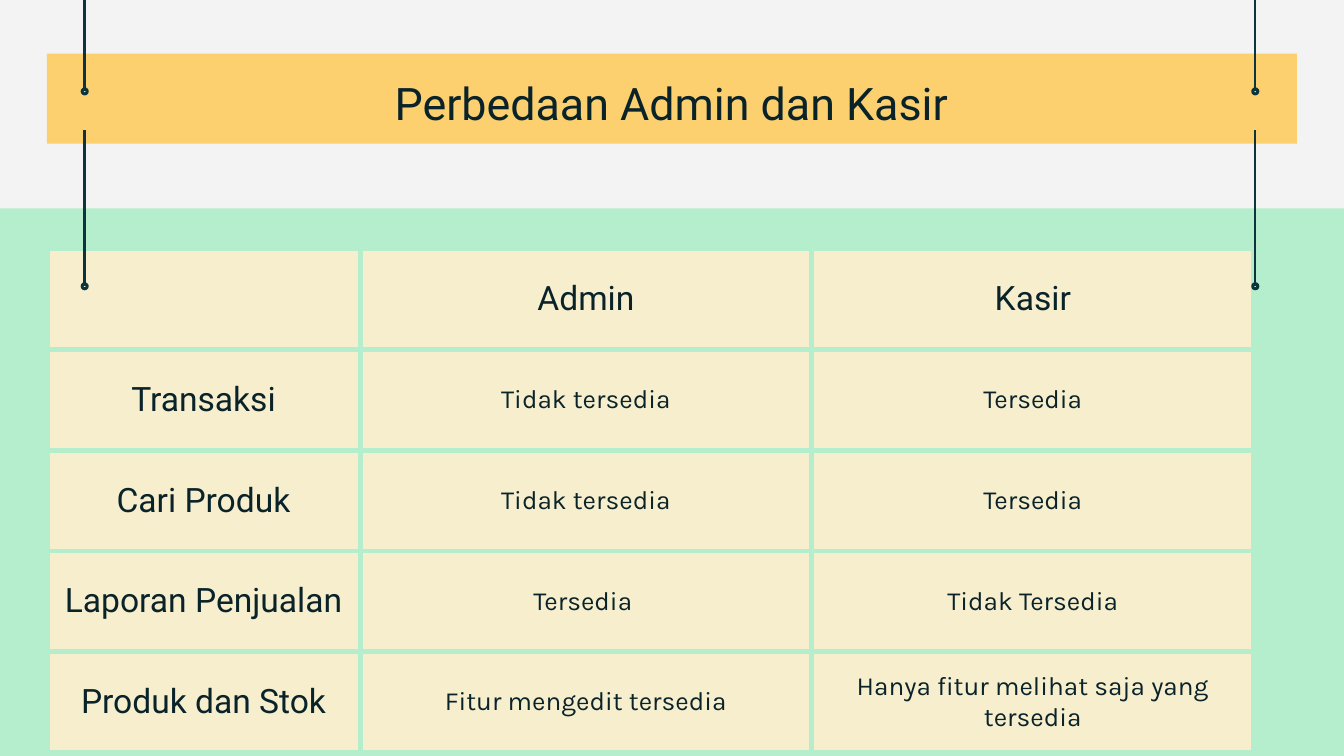
from lxml import etree
from pptx import Presentation
from pptx.dml.color import RGBColor
from pptx.enum import shapes, text
from pptx.oxml import ns
from pptx.util import Inches, Pt

PAPER = RGBColor(0xF3, 0xF3, 0xF3)
MINT = RGBColor(0xB5, 0xEE, 0xCC)
YELLOW = RGBColor(0xFC, 0xD0, 0x6F)
CREAM = RGBColor(0xF7, 0xEE, 0xCE)
CORD = RGBColor(0x0C, 0x34, 0x3D)
INK = RGBColor(0x09, 0x23, 0x29)

FEATURES = [
    ["", "Admin", "Kasir"],
    ["Transaksi", "Tidak tersedia", "Tersedia"],
    ["Cari Produk", "Tidak tersedia", "Tersedia"],
    ["Laporan Penjualan", "Tersedia ", "Tidak Tersedia"],
    ["Produk dan Stok", "Fitur mengedit tersedia", "Hanya fitur melihat saja yang tersedia"],
]
COLUMN_WIDTHS = [2.33, 3.36, 3.29]
ROW_HEIGHT = 0.75
RING = 0.05


def write(holder, words, size, font, anchor):
    holder.text_frame.text = words
    holder.vertical_anchor = anchor
    holder.margin_left = holder.margin_right = Inches(0.1)
    holder.margin_top = holder.margin_bottom = Inches(0.1)
    paragraph = holder.text_frame.paragraphs[0]
    paragraph.alignment = text.PP_ALIGN.CENTER
    paragraph.font.size = Pt(size)
    paragraph.font.name = font
    paragraph.font.color.rgb = INK


def add_filled(preset, left, top, width, height, color):
    shape = slide.shapes.add_shape(preset, Inches(left), Inches(top), Inches(width), Inches(height))
    shape.shadow.inherit = False
    shape.fill.solid()
    shape.fill.fore_color.rgb = color
    shape.line.fill.background()
    return shape


prs = Presentation()
prs.slide_width = Inches(10)
prs.slide_height = Inches(10 * 9 / 16)
slide = prs.slides.add_slide(prs.slide_layouts[5])
slide.background.fill.solid()
slide.background.fill.fore_color.rgb = PAPER

add_filled(shapes.MSO_SHAPE.RECTANGLE, -0.03, 1.55, 10.05, 4.08, MINT)
add_filled(shapes.MSO_SHAPE.RECTANGLE, 0.35, 0.4, 9.3, 0.67, YELLOW)

comparison = slide.shapes.add_table(
    len(FEATURES), len(COLUMN_WIDTHS), Inches(0.35), Inches(1.85),
    Inches(sum(COLUMN_WIDTHS)), Inches(ROW_HEIGHT * len(FEATURES))).table
for column, width in zip(comparison.columns, COLUMN_WIDTHS):
    column.width = Inches(width)

for r, row in enumerate(FEATURES):
    comparison.rows[r].height = Inches(ROW_HEIGHT)
    for c, words in enumerate(row):
        cell = comparison.cell(r, c)
        size, font = (18, "Roboto") if r == 0 or c == 0 else (14, "Karla")
        write(cell, words, size, font, text.MSO_ANCHOR.MIDDLE)
        properties = cell._tc.get_or_add_tcPr()
        for side in ("a:lnL", "a:lnR", "a:lnT", "a:lnB"):
            border = etree.SubElement(properties, ns.qn(side), w=str(Pt(3)))
            border_fill = etree.SubElement(border, ns.qn("a:solidFill"))
            etree.SubElement(border_fill, ns.qn("a:srgbClr"), val=str(MINT))
        cell.fill.solid()
        cell.fill.fore_color.rgb = CREAM

for cord_top, cord_end in ((0, 0.68), (0.97, 2.13)):
    for x in (0.63, 9.34):
        cord = slide.shapes.add_connector(
            shapes.MSO_CONNECTOR.STRAIGHT, Inches(x), Inches(cord_top), Inches(x), Inches(cord_end))
        cord.line.color.rgb = CORD
        cord.line.width = Pt(1.25)
        etree.SubElement(cord.element.spPr, ns.qn("a:effectLst"))
        ring = add_filled(shapes.MSO_SHAPE.DONUT, x - RING / 2, cord_end - RING / 2, RING, RING, CORD)
        ring.line.color.rgb = CORD
        ring.line.width = Pt(0.75)

title = slide.shapes.title
title.left, title.top = Inches(1.5), Inches(0.46)
title.width, title.height = Inches(6.99), Inches(0.63)
heading = title.text_frame
heading.text = "Perbedaan Admin dan Kasir"
heading.word_wrap = True
heading.auto_size = text.MSO_AUTO_SIZE.NONE
heading.vertical_anchor = text.MSO_ANCHOR.TOP
heading.margin_left = heading.margin_right = Inches(0.1)
heading.margin_top = heading.margin_bottom = Inches(0.1)
heading.paragraphs[0].alignment = text.PP_ALIGN.CENTER
heading.paragraphs[0].font.size = Pt(24)
heading.paragraphs[0].font.name = "Roboto"
heading.paragraphs[0].font.color.rgb = INK
slide.shapes.element.append(title.element)

prs.save("out.pptx")
